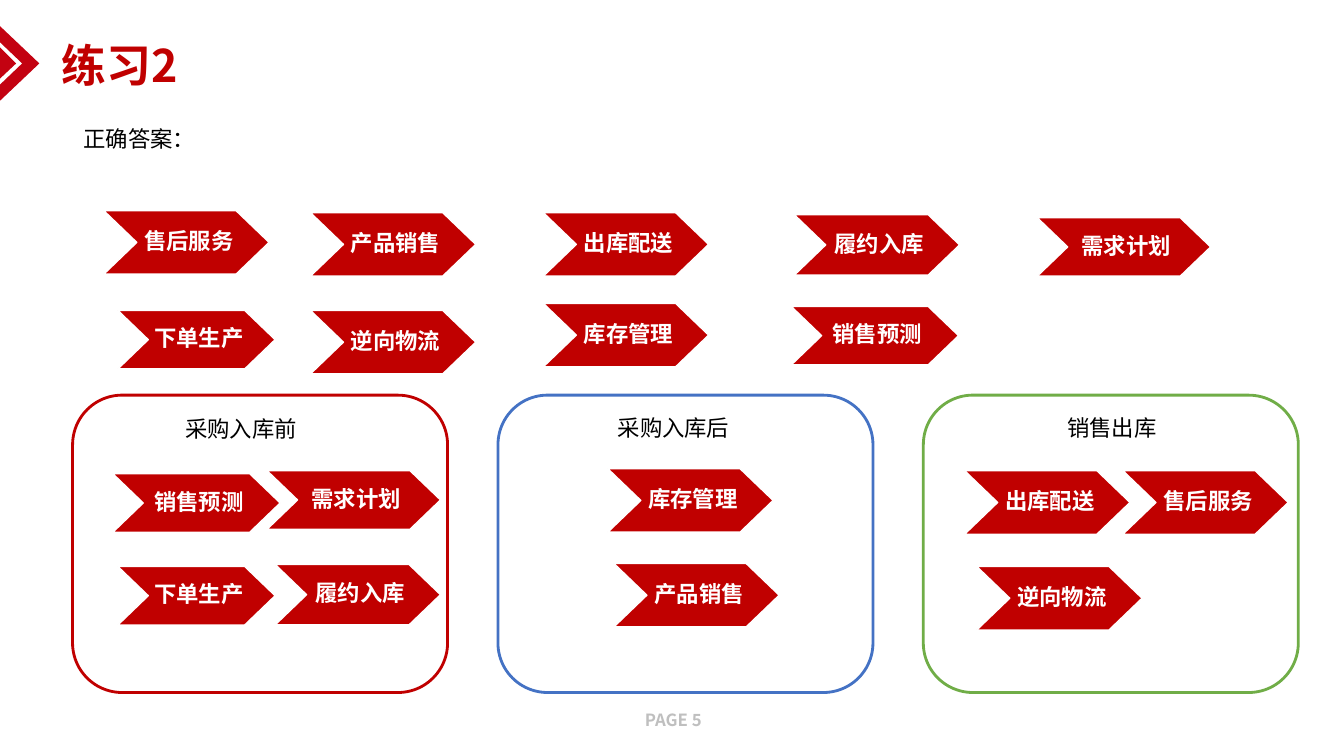
"""Builds the answer slide that sorts supply-chain steps into three stages."""
from lxml.etree import SubElement
from pptx import Presentation
from pptx.dml.color import RGBColor
from pptx.enum.shapes import MSO_SHAPE as Shape
from pptx.enum.text import MSO_ANCHOR as Anchor, MSO_AUTO_SIZE as AutoSize, PP_ALIGN as Align
from pptx.oxml.ns import qn
from pptx.util import Inches, Pt

FONT = "Noto Sans CJK SC"
RED = RGBColor(0xC0, 0x00, 0x00)
CRIMSON = RGBColor(0xC3, 0x02, 0x11)
BLUE = RGBColor(0x44, 0x72, 0xC4)
GREEN = RGBColor(0x70, 0xAD, 0x47)
GREY = RGBColor(0xBF, 0xBF, 0xBF)
BLACK = RGBColor(0x00, 0x00, 0x00)
WHITE = RGBColor(0xFF, 0xFF, 0xFF)

COLUMNS, ROWS = 133.33, 75
CELL = Inches(0.1)
PANEL_LEFT, PANEL_TOP, PANEL_STEP = 7.2, 39.2, 42.2
PANEL_WIDTH, PANEL_HEIGHT = 37.2, 29.5
NOTCH = 0.52
TEXT_INSET = 0.6
USUAL_SIZE = (16.4, 6.3)
STEP_SIZES = {
    "销售预测": (16.6, 5.8),
    "需求计划": (17.2, 5.8),
    "下单生产": (15.6, 5.8),
    "履约入库": (16.4, 6),
}
QUESTION_STEPS = [
    ("售后服务", 10.3, 20.9), ("产品销售", 30.8, 21.1), ("出库配送", 53.9, 21.1),
    ("履约入库", 78.8, 21.3), ("需求计划", 102.9, 21.6),
    ("下单生产", 11.7, 30.8), ("逆向物流", 30.8, 30.8), ("库存管理", 53.9, 30.1),
    ("销售预测", 78.5, 30.4),
]
STAGES = [
    ("采购入库前", RED, (17.4, 40.7, 16.2), [
        ("销售预测", 11.2, 47), ("需求计划", 26.5, 46.7),
        ("下单生产", 11.7, 56.2), ("履约入库", 27.3, 56)]),
    ("采购入库后", BLUE, (60.3, 40.6, 18.3), [
        ("库存管理", 60.3, 46.5), ("产品销售", 60.9, 55.9)]),
    ("销售出库", GREEN, (104.9, 40.6, 13.3), [
        ("出库配送", 95.7, 46.7), ("售后服务", 111.4, 46.7), ("逆向物流", 96.9, 56.2)]),
]


def grid(*cells):
    """Turn counts of grid cells into lengths."""
    return [round(count * CELL) for count in cells]


def write(frame, text, size, color, bold=False, align=Align.LEFT, spacing=1.0):
    """Fill a text frame with one formatted paragraph."""
    frame.word_wrap = True
    frame.text = text
    paragraph = frame.paragraphs[0]
    paragraph.alignment = align
    paragraph.line_spacing = spacing
    font = paragraph.font
    font.size, font.bold, font.name = Pt(size), bold, FONT
    font.color.rgb = color
    defaults = paragraph._p.pPr.find(qn("a:defRPr"))
    SubElement(defaults, qn("a:ea")).set("typeface", FONT)


def add_label(slide, box, text, size=16, color=BLACK, **style):
    """Add a text box placed on the grid."""
    label = slide.shapes.add_textbox(*grid(*box))
    write(label.text_frame, text, size, color, **style)


def add_outline(slide, points, fill):
    """Add a closed filled outline through grid points."""
    start, *rest = [grid(*point) for point in points]
    builder = slide.shapes.build_freeform(*start)
    builder.add_line_segments(rest, close=True)
    outline = builder.convert_to_shape()
    outline.shadow.inherit = False
    outline.fill.solid()
    outline.fill.fore_color.rgb = fill
    outline.line.fill.background()
    return outline


def add_step(slide, name, left, top):
    """Add a notched arrow that carries the name of a step."""
    width, height = STEP_SIZES.get(name, USUAL_SIZE)
    notch, middle = NOTCH * height, top + height / 2
    right, bottom = left + width, top + height
    step = add_outline(slide, [
        (left, top), (right - notch, top), (right, middle),
        (right - notch, bottom), (left, bottom), (left + notch, middle)], RED)
    step.line.color.rgb = WHITE
    step.line.width = Pt(1)
    frame = step.text_frame
    frame.vertical_anchor = Anchor.MIDDLE
    frame.margin_left, frame.margin_right = grid(TEXT_INSET * height, notch)
    frame.margin_top = frame.margin_bottom = Inches(0.02)
    write(frame, name, 16, WHITE, bold=True, align=Align.CENTER, spacing=0.9)


def add_panel(slide, index, color):
    """Add the rounded frame of a stage."""
    panel = slide.shapes.add_shape(Shape.ROUNDED_RECTANGLE, *grid(
        PANEL_LEFT + index * PANEL_STEP, PANEL_TOP, PANEL_WIDTH, PANEL_HEIGHT))
    panel.shadow.inherit = False
    panel.fill.background()
    panel.line.color.rgb = color
    panel.line.width = Pt(2)


def add_title(slide, text):
    """Place and format the title."""
    title = slide.shapes.title
    title.left, title.top, title.width, title.height = grid(5.1, 3.8, 113.6, 5.9)
    frame = title.text_frame
    frame.auto_size = AutoSize.NONE
    frame.vertical_anchor = Anchor.MIDDLE
    write(frame, text, 32, RED, bold=True, spacing=0.9)


def main():
    """Build and save the slide."""
    deck = Presentation()
    deck.slide_width, deck.slide_height = grid(COLUMNS, ROWS)
    slide = deck.slides.add_slide(deck.slide_layouts[5])

    add_label(slide, (53.6, 69.9, 26.4, 3.9), "PAGE 5", 12, GREY,
              bold=True, align=Align.CENTER)
    add_outline(slide, [(0, 4.7), (1.6, 6.3), (0, 7.8)], CRIMSON)
    add_outline(slide, [(0, 2.6), (3.9, 6.3), (0, 10), (0, 8.4), (2.2, 6.3), (0, 4.2)],
                CRIMSON)
    add_title(slide, "练习2")
    add_label(slide, (7.3, 10.6, 115.6, 4.6), "正确答案：", spacing=1.5)

    for step in QUESTION_STEPS:
        add_step(slide, *step)
    for index, (stage, color, (left, top, width), steps) in enumerate(STAGES):
        add_panel(slide, index, color)
        add_label(slide, (left, top, width, 3.7), stage)
        for step in steps:
            add_step(slide, *step)

    deck.save("out.pptx")


if __name__ == "__main__":
    main()
